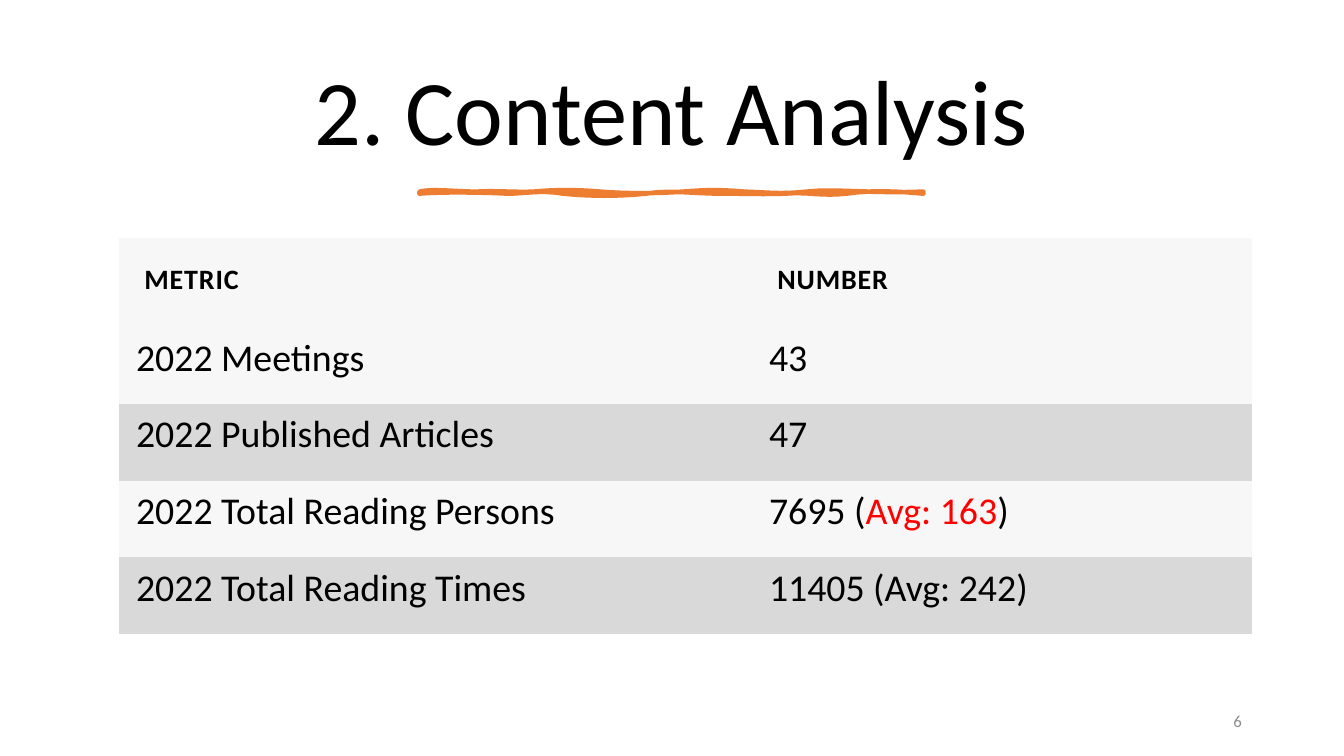
from pptx import Presentation
from pptx.dml.color import RGBColor
from pptx.enum.text import MSO_ANCHOR, PP_ALIGN
from pptx.oxml.ns import qn
from pptx.util import Cm, Pt

MIDDLE = MSO_ANCHOR.MIDDLE
CENTER, RIGHT = PP_ALIGN.CENTER, PP_ALIGN.RIGHT
FONT = "Calibri"
NO_GRID_STYLE = "{2D5ABB26-0587-4C30-8999-92F81FD0307C}"
COLORS = {"text": "000000", "accent": "ED7D31", "light": "F7F7F7",
          "band": "D9D9D9", "alert": "FF0000", "number": "8C8C8C"}

METRICS = [
    (["METRIC"], ["NUMBER"]),
    (["2022 Meetings"], ["43"]),
    (["2022 Published Articles"], ["47"]),
    (["2022 Total Reading Persons"], ["7695 (", "Avg: 163", ")"]),
    (["2022 Total Reading Times"], ["11405 (Avg: 242)"]),
]
COLUMN_WIDTHS = (15.95, 12.6)
HEADER_HEIGHT, ROW_HEIGHT = 2.26, 1.93

UPPER_EDGE = [
    (10.57, 4.83), (10.87, 4.75), (11.53, 4.83), (12.01, 4.83),
    (12.5, 4.8), (12.93, 4.85), (13.44, 4.83),
    (13.94, 4.78), (14.58, 4.78), (15.14, 4.83),
    (15.67, 4.88), (16.59, 4.88), (17.2, 4.83),
    (17.83, 4.78), (18.14, 4.78), (18.77, 4.83),
    (19.38, 4.85), (19.66, 4.9), (20.32, 4.83),
    (20.98, 4.75), (22.02, 4.88), (23.27, 4.83),
]
LOWER_EDGE = [
    (23.27, 4.88), (22.73, 4.83), (21.97, 4.78), (21.34, 4.88),
    (20.7, 4.95), (20.35, 4.83), (19.79, 4.88),
    (19.2, 4.9), (18.97, 4.88), (18.21, 4.88),
    (17.45, 4.88), (16.94, 4.78), (16.28, 4.88),
    (15.6, 4.95), (14.86, 4.95), (14.2, 4.88),
    (13.56, 4.78), (13.28, 4.88), (12.78, 4.88),
    (12.27, 4.85), (11.13, 4.83), (10.57, 4.88),
]


def rgb(name):
    """Return the named colour."""
    return RGBColor.from_string(COLORS[name])


def style_run(run, size, color="text", bold=False):
    """Set the font of a run."""
    run.font.name = FONT
    run.font.size = Pt(size)
    run.font.bold = bold
    run.font.color.rgb = rgb(color)


def add_label(slide, text, box, size, align, color="text", line_spacing=1.0):
    """Add one line of text, centred vertically in its box."""
    frame = slide.shapes.add_textbox(*map(Cm, box)).text_frame
    frame.word_wrap = True
    frame.vertical_anchor = MIDDLE
    frame.text = text
    line = frame.paragraphs[0]
    line.alignment = align
    line.line_spacing = line_spacing
    style_run(line.runs[0], size, color)


def curve_points(edge, steps=8):
    """Return points along a chain of cubic curves."""
    points = [edge[0]]
    for start in range(0, len(edge) - 1, 3):
        controls = edge[start:start + 4]
        for step in range(1, steps + 1):
            t = step / steps
            u = 1 - t
            weights = (u ** 3, 3 * u * u * t, 3 * u * t * t, t ** 3)
            points.append(tuple(sum(w * value for w, value in zip(weights, axis))
                                for axis in zip(*controls)))
    return points


def add_brush_stroke(slide):
    """Draw the wavy rule under the title."""
    outline = [(Cm(x), Cm(y))
               for x, y in curve_points(UPPER_EDGE) + curve_points(LOWER_EDGE)]
    builder = slide.shapes.build_freeform(*outline[0])
    builder.add_line_segments(outline[1:], close=True)
    stroke = builder.convert_to_shape()
    stroke.shadow.inherit = False
    stroke.fill.solid()
    stroke.fill.fore_color.rgb = rgb("accent")
    stroke.line.color.rgb = rgb("accent")
    stroke.line.width = Pt(3.25)


def fill_cell(cell, parts, row):
    """Write a metric cell, with every second part in the alert colour."""
    header = row == 0
    side, top = (0.64, 0.64) if header else (0.43, 0.2)
    cell.margin_left = cell.margin_right = cell.margin_bottom = Cm(side)
    cell.margin_top = Cm(top)
    cell.fill.solid()
    cell.fill.fore_color.rgb = rgb("band" if row and row % 2 == 0 else "light")
    line = cell.text_frame.paragraphs[0]
    for index, part in enumerate(parts):
        run = line.add_run()
        run.text = part
        style_run(run, 20 if header else 27, "alert" if index % 2 else "text", header)
        if header:
            run.font._element.set("spc", "60")


def add_metrics_table(slide):
    """Add the table of metrics and their numbers."""
    height = HEADER_HEIGHT + ROW_HEIGHT * (len(METRICS) - 1)
    table = slide.shapes.add_table(
        len(METRICS), len(COLUMN_WIDTHS), Cm(3), Cm(5.99),
        Cm(sum(COLUMN_WIDTHS)), Cm(height)).table
    table._tbl.tblPr.find(qn("a:tableStyleId")).text = NO_GRID_STYLE
    for column, width in zip(table.columns, COLUMN_WIDTHS):
        column.width = Cm(width)
    for row, metric in enumerate(METRICS):
        table.rows[row].height = Cm(ROW_HEIGHT if row else HEADER_HEIGHT)
        for column, parts in enumerate(metric):
            fill_cell(table.cell(row, column), parts, row)


def main():
    """Build and save the content analysis slide."""
    deck = Presentation()
    deck.slide_width, deck.slide_height = Cm(33.87), Cm(19.05)
    slide = deck.slides.add_slide(deck.slide_layouts[6])
    add_label(slide, "2. Content Analysis", (1.78, 1.17, 30.3, 3.48), 66, CENTER,
              line_spacing=0.9)
    add_brush_stroke(slide)
    add_metrics_table(slide)
    add_label(slide, "6", (23.93, 17.65, 7.62, 1.02), 12, RIGHT, "number")
    deck.save("out.pptx")


if __name__ == "__main__":
    main()
